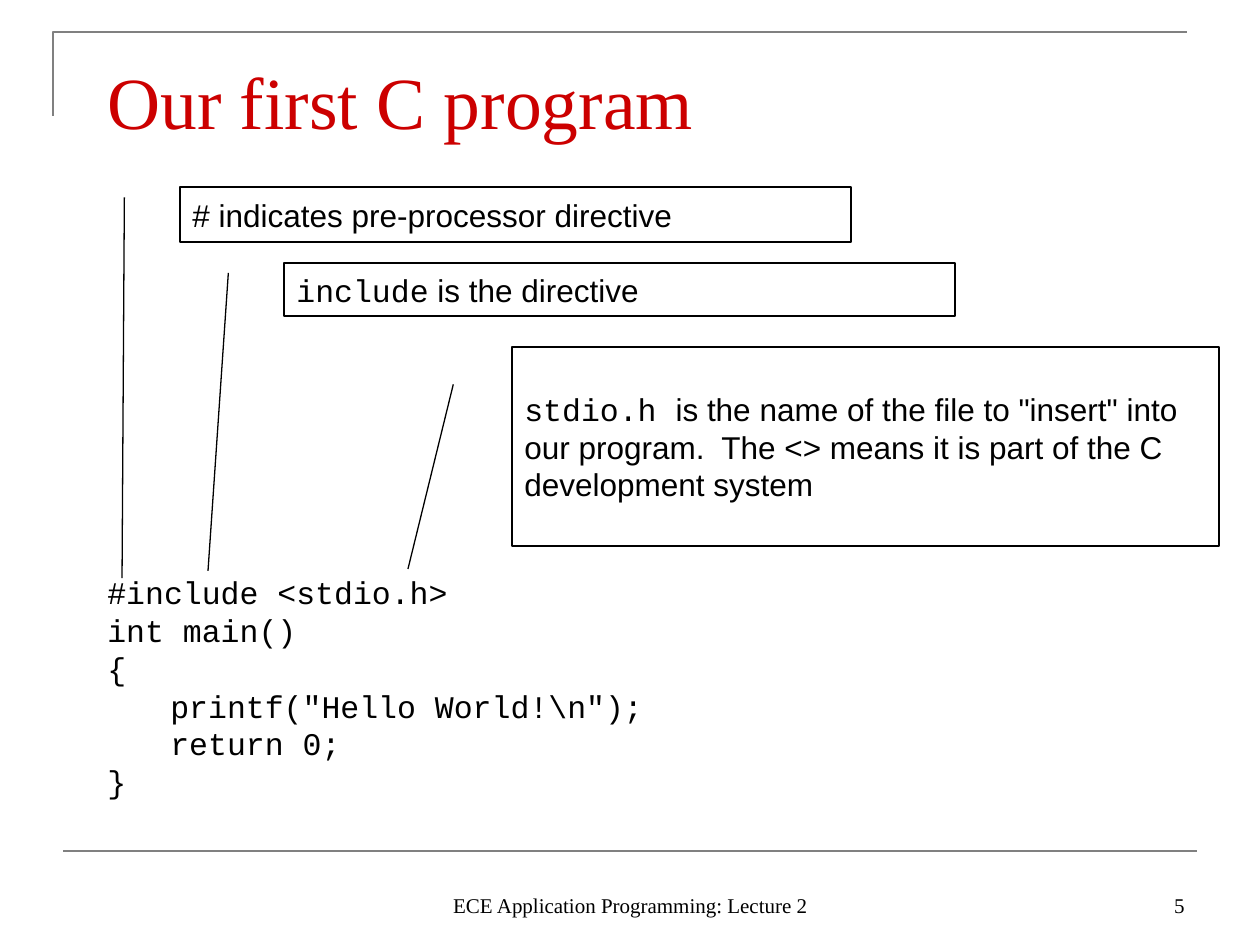
from dataclasses import dataclass

from lxml.etree import SubElement
from pptx import Presentation
from pptx.dml.color import RGBColor
from pptx.enum.shapes import MSO_CONNECTOR, MSO_SHAPE
from pptx.enum.text import MSO_ANCHOR, PP_ALIGN
from pptx.oxml.ns import qn
from pptx.util import Emu, Pt

EMU_PER_PX = 914400 / 126
COLORS = {"text": "000000", "title": "CC0000", "rule": "808080"}
SERIF, SANS, MONO = "Times New Roman", "Arial", "Courier New"
LEADER_START = (-0.083, 0.188)  # fraction of the callout's width and height


@dataclass(frozen=True)
class Box:
    left: int
    top: int
    width: int
    height: int


@dataclass(frozen=True)
class Callout:
    box: Box
    tip: tuple[int, int]
    runs: list[tuple[str, str]]  # text, font


def px(length: float) -> Emu:
    return Emu(round(length * EMU_PER_PX))


def color(name: str) -> RGBColor:
    return RGBColor.from_string(COLORS[name])


def place(box: Box) -> tuple[Emu, Emu, Emu, Emu]:
    return px(box.left), px(box.top), px(box.width), px(box.height)


def style_line(line, name: str, width: float) -> None:
    line.color.rgb = color(name)
    line.width = Pt(width)


def write(shape, runs: list[tuple[str, str]], *, size: int = 18, ink: str = "text",
          align=PP_ALIGN.LEFT, anchor=MSO_ANCHOR.MIDDLE, space_before: float = 0) -> None:
    """Fill a shape with one paragraph of runs; newlines become line breaks."""
    frame = shape.text_frame
    frame.word_wrap = True
    frame.vertical_anchor = anchor
    paragraph = frame.paragraphs[0]
    paragraph.alignment = align
    paragraph.space_before = Pt(space_before)
    for text, font in runs:
        for index, row in enumerate(text.split("\n")):
            if index:
                paragraph.add_line_break()
            run = paragraph.add_run()
            run.text = row
            run.font.name = font
            run.font.size = Pt(size)
            run.font.color.rgb = color(ink)


def add_text(slide, box: Box, text: str, font: str, **style) -> None:
    write(slide.shapes.add_textbox(*place(box)), [(text, font)], **style)


def add_callout(slide, callout: Callout) -> None:
    box = callout.box
    shape = slide.shapes.add_shape(MSO_SHAPE.LINE_CALLOUT_1, *place(box))
    shape.shadow.inherit = False
    shape.fill.background()
    style_line(shape.line, "text", 0.75)
    start_x, start_y = LEADER_START
    tip_x, tip_y = callout.tip
    leader = (start_y, start_x,
              (tip_y - box.top) / box.height, (tip_x - box.left) / box.width)
    for index, value in enumerate(leader):
        shape.adjustments[index] = value
    write(shape, callout.runs)


def add_frame(slide) -> None:
    # Corner bracket around the title
    builder = slide.shapes.build_freeform(px(53), px(116))
    builder.add_line_segments([(px(53), px(32)), (px(1187), px(32))], close=False)
    bracket = builder.convert_to_shape()
    bracket.shadow.inherit = False
    bracket.fill.background()
    style_line(bracket.line, "rule", 1.5)

    # Rule above the footer
    rule = slide.shapes.add_connector(
        MSO_CONNECTOR.STRAIGHT, px(63), px(851), px(1197), px(851))
    style_line(rule.line, "rule", 1.5)
    SubElement(rule._element.spPr, qn("a:effectLst"))


CODE = """#include <stdio.h>
int main()
{
\tprintf("Hello World!\\n");
\treturn 0;
}"""

CALLOUTS = [
    Callout(Box(180, 187, 671, 55), (122, 578),
            [("# indicates pre-processor directive", SANS)]),
    Callout(Box(284, 263, 671, 53), (208, 571),
            [("include", MONO), (" is the directive", SANS)]),
    Callout(Box(512, 347, 707, 199), (408, 569),
            [("stdio.h ", MONO),
             ('is the name of the file to "insert" into our program.  '
              "The <> means it is part of the C development system", SANS)]),
]


def main() -> None:
    deck = Presentation()
    deck.slide_width, deck.slide_height = px(1260), px(945)
    slide = deck.slides.add_slide(deck.slide_layouts[6])

    add_frame(slide)

    # Title and program
    add_text(slide, Box(95, 42, 1071, 116), "Our first C program", SERIF,
             size=42, ink="title")
    add_text(slide, Box(95, 567, 1081, 239), CODE, MONO,
             anchor=MSO_ANCHOR.TOP, space_before=11.2)

    # Notes on the first line of the program
    for callout in CALLOUTS:
        add_callout(slide, callout)

    # Footer and slide number
    add_text(slide, Box(431, 861, 399, 63), "ECE Application Programming: Lecture 2",
             SERIF, size=12, align=PP_ALIGN.CENTER, anchor=MSO_ANCHOR.BOTTOM)
    add_text(slide, Box(903, 861, 294, 63), "5", SERIF,
             size=12, align=PP_ALIGN.RIGHT, anchor=MSO_ANCHOR.BOTTOM)

    deck.save("out.pptx")


if __name__ == "__main__":
    main()
